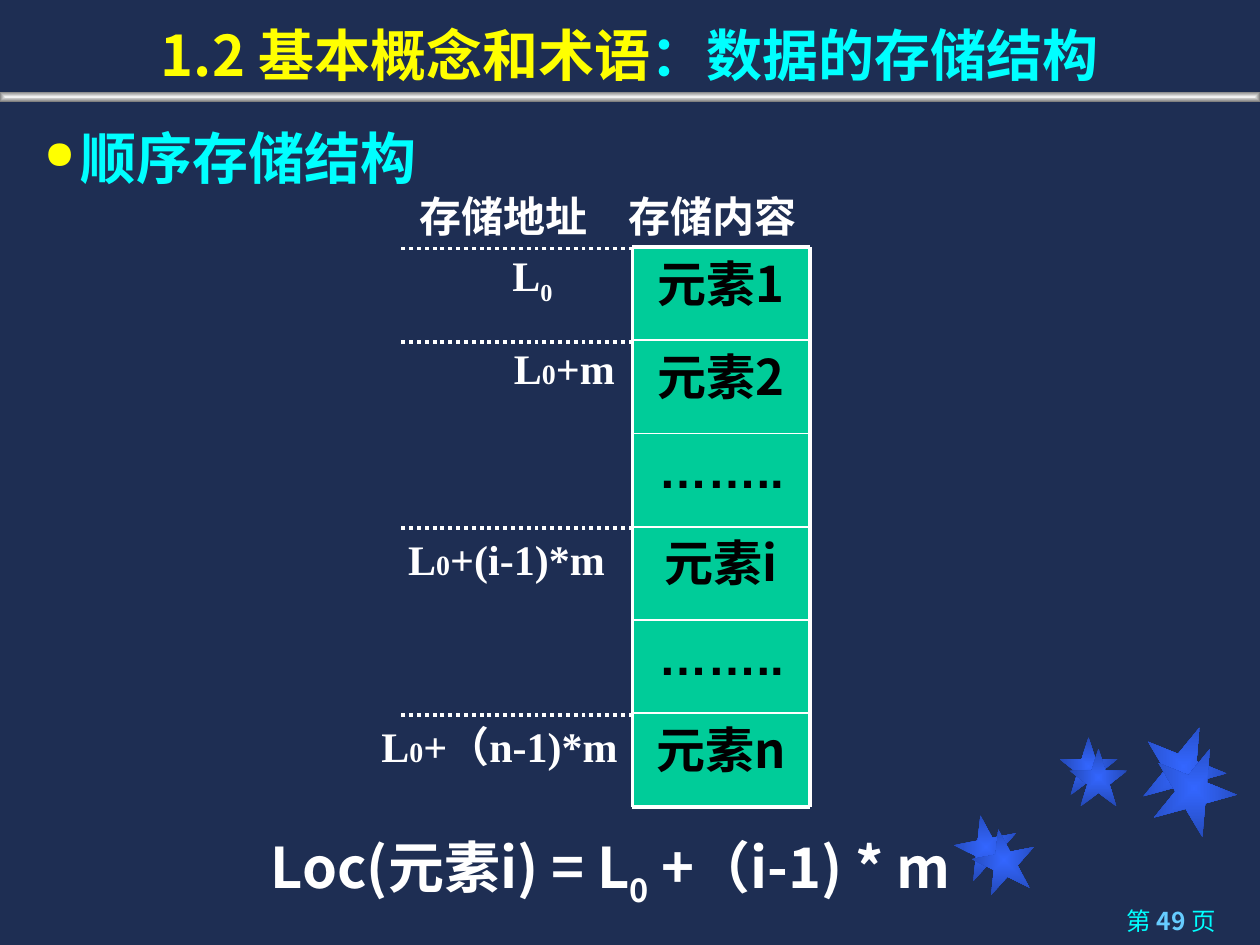
"""Build the slide on sequential storage structure."""
import pptx
import pptx.dml.color
import pptx.enum.dml
import pptx.enum.shapes
import pptx.enum.text
import pptx.oxml
import pptx.oxml.ns
import pptx.util
from lxml import etree

Cm = pptx.util.Cm
Pt = pptx.util.Pt
qn = pptx.oxml.ns.qn
ALIGN = pptx.enum.text.PP_ALIGN
SHAPES = pptx.enum.shapes.MSO_SHAPE

COLORS = {
    "background": "1E2E53", "star": "3366FF", "star_edge": "2449B6",
    "bar": "F2F2F2", "bar_edge": "808080", "cyan": "00FFFF",
    "yellow": "FFFF00", "page": "66CCFF", "cell": "00CC99",
    "black": "000000", "white": "FFFFFF",
}
RGB = {name: pptx.dml.color.RGBColor.from_string(value) for name, value in COLORS.items()}
SANS, SERIF = "Noto Sans CJK SC", "Times New Roman"


def write(shape, runs, size, font=SANS, color="white", align=ALIGN.LEFT, bold=True):
    frame = shape.text_frame
    frame.word_wrap = True
    paragraph = frame.paragraphs[0]
    paragraph.alignment = align
    paragraph.font.name = font
    paragraph.font.size = Pt(size)
    paragraph.font.bold = bold
    paragraph.font.color.rgb = RGB[color]
    defaults = paragraph._p.pPr.find(qn("a:defRPr"))
    etree.SubElement(defaults, qn("a:ea")).set("typeface", SANS)
    for text, changes in runs:
        run = paragraph.add_run()
        run.text = text
        if "size" in changes:
            run.font.size = Pt(changes["size"])
        if "bold" in changes:
            run.font.bold = changes["bold"]
        if "color" in changes:
            run.font.color.rgb = RGB[changes["color"]]
        if "baseline" in changes:
            run._r.get_or_add_rPr().set("baseline", str(changes["baseline"]))


def draw_line(x1, y1, x2, y2, width):
    line = slide.shapes.add_connector(
        pptx.enum.shapes.MSO_CONNECTOR.STRAIGHT, Cm(x1), Cm(y1), Cm(x2), Cm(y2))
    line.line.color.rgb = RGB["white"]
    line.line.width = Pt(width)
    etree.SubElement(line._element.spPr, qn("a:effectLst"))
    return line


presentation = pptx.Presentation()
presentation.slide_width = Cm(25.4)
presentation.slide_height = Cm(19.05)
slide = presentation.slides.add_slide(presentation.slide_layouts[6])
slide.background.fill.solid()
slide.background.fill.fore_color.rgb = RGB["background"]

decorations = [
    (SHAPES.STAR_5_POINT, x, y, size, size, rotation, "star")
    for x, y, size, rotation in [
        (19.25, 16.43, 1.27, 349), (21.36, 14.86, 1.17, 0), (23.01, 14.61, 1.7, 22),
        (19.61, 16.71, 1.27, 349), (21.56, 15.09, 1.17, 0), (23.22, 15.04, 1.7, 22)]
] + [(SHAPES.RECTANGLE, 0, 1.85, 25.4, 0.2, 0, "bar")]
for kind, x, y, width, height, rotation, color in decorations:
    shape = slide.shapes.add_shape(kind, Cm(x), Cm(y), Cm(width), Cm(height))
    shape.rotation = rotation
    shape.shadow.inherit = False
    shape.line.fill.background()
    shape.fill.background()
    gradient = pptx.oxml.parse_xml(
        f'<a:gradFill {pptx.oxml.ns.nsdecls("a")} rotWithShape="1"><a:gsLst>'
        f'<a:gs pos="0"><a:srgbClr val="{COLORS[color]}"/></a:gs>'
        f'<a:gs pos="100000"><a:srgbClr val="{COLORS[color + "_edge"]}"/></a:gs></a:gsLst>'
        '<a:path path="shape"><a:fillToRect l="50000" t="50000" r="50000" b="50000"/></a:path>'
        '</a:gradFill>')
    properties = shape._element.spPr
    properties.replace(properties.find(qn("a:noFill")), gradient)

page = slide.shapes.add_textbox(Cm(18.08), Cm(18.14), Cm(6.68), Cm(0.91))
write(page, [("第 ", {}), ("49 ", {"color": "page", "bold": True}), ("页", {})],
      14, color="cyan", align=ALIGN.RIGHT, bold=False)

title = slide.shapes.add_textbox(0, 0, Cm(25.4), Cm(1.9))
title.text_frame.vertical_anchor = pptx.enum.text.MSO_ANCHOR.BOTTOM
write(title, [("1.2 基本概念和术语", {"color": "yellow"}), ("：数据的存储结构", {})],
      32, color="cyan", align=ALIGN.CENTER)

heading = slide.shapes.add_textbox(Cm(0.64), Cm(2.29), Cm(24.18), Cm(1.75))
paragraph = heading.text_frame.paragraphs[0]
paragraph.line_spacing = 1.05
properties = paragraph._p.get_or_add_pPr()
properties.set("marL", str(Cm(0.74)))
properties.set("indent", str(Cm(-0.74)))
bullet_color = etree.SubElement(properties, qn("a:buClr"))
etree.SubElement(bullet_color, qn("a:srgbClr")).set("val", COLORS["yellow"])
etree.SubElement(properties, qn("a:buSzPct")).set("val", "70000")
etree.SubElement(properties, qn("a:buChar")).set("char", "●")
write(heading, [("顺序存储结构", {})], 32, font="Arial", color="cyan")

left, right, top, row_height = 12.75, 16.33, 4.98, 1.88
elements = ["元素1", "元素2", "……..", "元素i", "……..", "元素n"]
bottom = top + len(elements) * row_height
for row, element in enumerate(elements):
    cell = slide.shapes.add_shape(SHAPES.RECTANGLE, Cm(left), Cm(top + row * row_height),
                                  Cm(right - left), Cm(row_height))
    cell.shadow.inherit = False
    cell.fill.solid()
    cell.fill.fore_color.rgb = RGB["cell"]
    cell.line.fill.background()
    cell.text_frame.vertical_anchor = pptx.enum.text.MSO_ANCHOR.TOP
    write(cell, [(element, {})], 28, font=SANS if "元" in element else "Arial",
          color="black", align=ALIGN.CENTER)

for row in range(len(elements) + 1):
    y = top + row * row_height
    draw_line(left, y, right, y, 2.25 if row in (0, len(elements)) else 1)
for x in (left, right):
    draw_line(x, top, x, bottom, 2.25)

small = {"size": 16}
subscript = {"baseline": -25000}
labels = [
    (10.08, 4.9, 2.11, 1.27, 24, SERIF, [("L", {}), ("0", subscript)]),
    (10.11, 6.78, 2.97, 1.27, 24, SERIF, [("L", {}), ("0", small), ("+m", {})]),
    (7.98, 10.64, 5.38, 1.27, 24, SERIF, [("L", {}), ("0", small), ("+(i-1)*m", {})]),
    (7.44, 14.4, 5.28, 1.27, 24, SERIF, [("L", {}), ("0", small), ("+（n-1)*m", {})]),
    (8.2, 3.71, 4.34, 1.27, 24, SERIF, [("存储地址", {})]),
    (12.42, 3.71, 4.01, 1.27, 24, SERIF, [("存储内容", {})]),
    (5.21, 16.66, 17.12, 1.6, 32, SANS,
     [("Loc(元素i) = L", {}), ("0", subscript), (" +（i-1) * m", {})]),
]
for x, y, width, height, size, font, runs in labels:
    label = slide.shapes.add_textbox(Cm(x), Cm(y), Cm(width), Cm(height))
    label.text_frame.auto_size = pptx.enum.text.MSO_AUTO_SIZE.SHAPE_TO_FIT_TEXT
    write(label, runs, size, font=font)

for row in (0, 1, 3, 5):
    y = top + row * row_height + 0.03
    dotted = draw_line(left, y, 8.08, y, 2.25)
    dotted.line.dash_style = pptx.enum.dml.MSO_LINE.ROUND_DOT

presentation.save("out.pptx")
